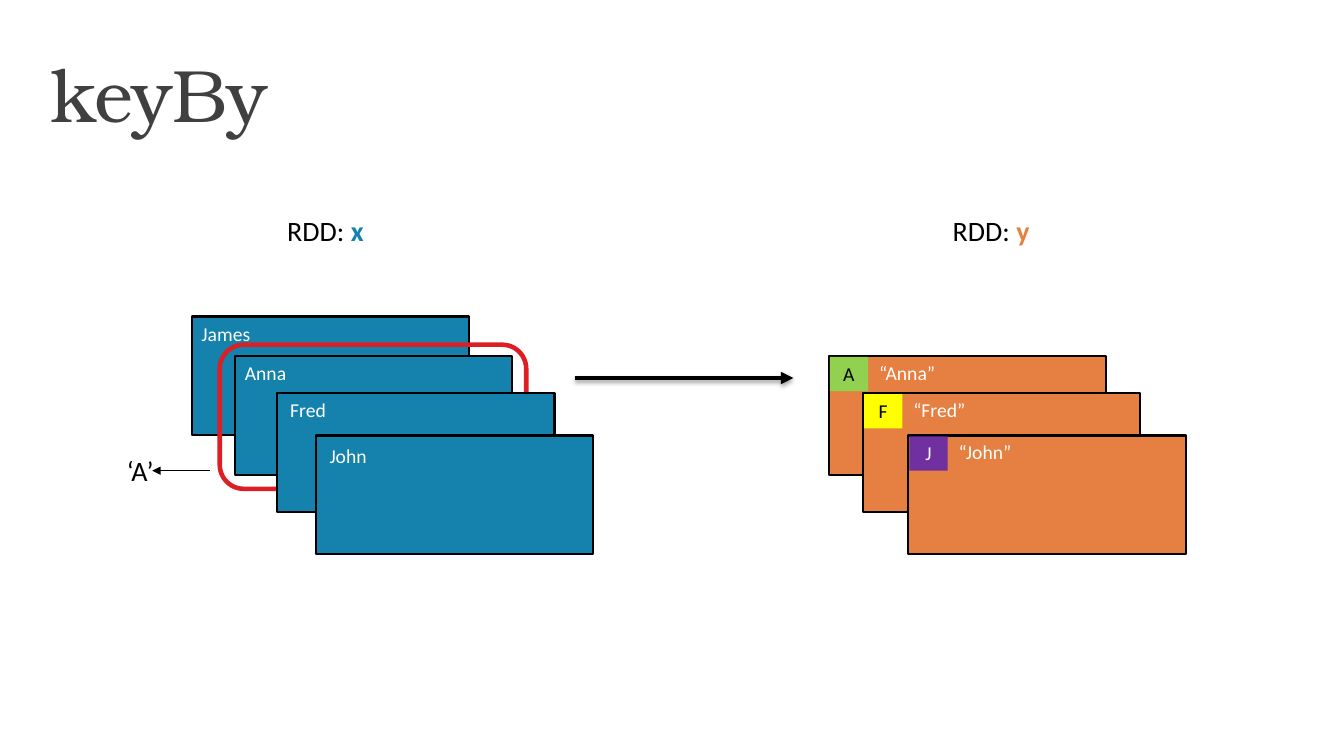
from lxml import etree
from pptx import Presentation
from pptx.dml.color import RGBColor
from pptx.enum.shapes import MSO_CONNECTOR, MSO_SHAPE
from pptx.enum.text import MSO_ANCHOR, PP_ALIGN
from pptx.oxml import parse_xml
from pptx.oxml.ns import nsdecls, qn
from pptx.util import Inches, Pt

RECT, ROUNDED = MSO_SHAPE.RECTANGLE, MSO_SHAPE.ROUNDED_RECTANGLE
STRAIGHT = MSO_CONNECTOR.STRAIGHT
TOP, MIDDLE = MSO_ANCHOR.TOP, MSO_ANCHOR.MIDDLE
LEFT, CENTER = PP_ALIGN.LEFT, PP_ALIGN.CENTER

COLORS = {
    "black": "000000", "white": "FFFFFF", "title": "404040",
    "blue": "1482AC", "orange": "E68042", "red": "DB1F25",
    "green": "92D050", "yellow": "FFFF00", "purple": "7030A0",
}
CARD_W, CARD_H = 2.75, 1.18
CHIP_W, CHIP_H = 0.38, 0.34


def rgb(name):
    return RGBColor.from_string(COLORS[name])


def style(run, size, color, bold=None, font="Calibri"):
    run.font.name, run.font.size, run.font.bold = font, Pt(size), bold
    run.font.color.rgb = rgb(color)


def add_box(shapes, x, y, w, h, fill=None, line=None, width=1.5, kind=RECT):
    """Draw a shape without shadow; fill and line are optional."""
    sp = shapes.add_shape(kind, Inches(x), Inches(y), Inches(w), Inches(h))
    sp.shadow.inherit = False
    if fill:
        sp.fill.solid()
        sp.fill.fore_color.rgb = rgb(fill)
    else:
        sp.fill.background()
    if line:
        sp.line.color.rgb = rgb(line)
        sp.line.width = Pt(width)
    else:
        sp.line.fill.background()
    return sp


def add_label(shapes, x, y, w, h, text, size=14, color="white"):
    tf = shapes.add_textbox(Inches(x), Inches(y), Inches(w), Inches(h)).text_frame
    tf.word_wrap = True
    tf.text = text
    p = tf.paragraphs[0]
    p.alignment = LEFT
    style(p.runs[0], size, color)
    return p


def add_arrow(shapes, x1, x2, y, width, shadow=False):
    line = shapes.add_connector(STRAIGHT, Inches(x1), Inches(y), Inches(x2), Inches(y))
    line.line.color.rgb = rgb("black")
    line.line.width = Pt(width)
    sp_pr = line._element.spPr
    etree.SubElement(sp_pr.find(qn("a:ln")), qn("a:tailEnd"), type="triangle")
    effects = etree.SubElement(sp_pr, qn("a:effectLst"))
    if shadow:
        effects.append(parse_xml(
            f'<a:outerShdw {nsdecls("a")} blurRad="{Pt(3.1)}" dist="{Pt(1.8)}" '
            f'dir="5400000" rotWithShape="0"><a:srgbClr val="{COLORS["black"]}">'
            '<a:alpha val="35000"/></a:srgbClr></a:outerShdw>'))


def add_heading(shapes, x, y, name, color):
    p = add_label(shapes, x, y, 1.55, 0.44, "RDD: ", 20, "black")
    r = p.add_run()
    r.text = name
    style(r, 20, color, True)


def add_name_card(shapes, x, y, name, dx=0, dy=0):
    """Draw a blue card whose name is shifted by dx, dy from its corner."""
    add_box(shapes, x, y, CARD_W, CARD_H, "blue", "black")
    add_label(shapes, x + dx, y + dy, 0.9, 0.34, name)


def add_pair_card(shapes, x, y, key, value, chip_color, key_color):
    group = shapes.add_group_shape().shapes
    add_box(group, x, y, CARD_W, CARD_H, "orange", "black")
    add_label(group, x + 0.4, y, 1.17, 0.34, value)
    tf = add_box(group, x + 0.01, y + 0.01, CHIP_W, CHIP_H, chip_color).text_frame
    tf.text = key
    tf.vertical_anchor = TOP
    tf.paragraphs[0].alignment = CENTER
    style(tf.paragraphs[0].runs[0], 14, key_color)


def add_title(s, text, x, y, w, h):
    title = s.shapes.title
    title.left, title.top, title.width, title.height = map(Inches, (x, y, w, h))
    tf = title.text_frame
    tf.text = text
    tf.vertical_anchor = MIDDLE
    tf.margin_left = tf.margin_right = Inches(0.13)
    tf.margin_top = tf.margin_bottom = Inches(0.07)
    tf.paragraphs[0].alignment = LEFT
    style(tf.paragraphs[0].runs[0], 53, "title", font="TeX Gyre Bonum")


def add_source_rdd(shapes, x, y):
    """Draw RDD x with the selected record outlined and its key pulled out."""
    add_heading(shapes, x + 0.85, y - 1.07, "x", "blue")
    add_name_card(shapes, x, y, "James")
    add_box(shapes, x + 0.28, y + 0.28, 3.04, 1.43, line="red", width=3.25, kind=ROUNDED)
    add_name_card(shapes, x + 0.43, y + 0.39, "Anna")
    add_arrow(shapes, x + 0.18, x - 0.39, y + 1.53, 1)
    add_label(shapes, x - 0.74, y + 1.31, 0.66, 0.44, "‘A’", 20, "black")
    add_name_card(shapes, x + 0.85, y + 0.76, "Fred", 0.03)
    add_name_card(shapes, x + 1.23, y + 1.18, "John", 0.04, 0.04)


def add_keyed_rdd(shapes, x, y):
    add_heading(shapes, x + 1.13, y - 1.46, "y", "orange")
    pairs = [
        (0, 0, "A", "“Anna”", "green", "black"),
        (0.34, 0.37, "F", "“Fred”", "yellow", "black"),
        (0.79, 0.79, "J", "“John”", "purple", "white"),
    ]
    for dx, dy, *content in pairs:
        add_pair_card(shapes, x + dx, y + dy, *content)


def main():
    prs = Presentation()
    prs.slide_width, prs.slide_height = Inches(13.33), Inches(7.5)
    s = prs.slides.add_slide(prs.slide_layouts[5])
    add_title(s, "keyBy", 0.37, 0.3, 12.48, 1.25)
    add_source_rdd(s.shapes, 1.9, 3.14)
    add_arrow(s.shapes, 5.7, 7.87, 3.75, 3, shadow=True)
    add_keyed_rdd(s.shapes, 8.22, 3.53)
    prs.save("out.pptx")


if __name__ == "__main__":
    main()
